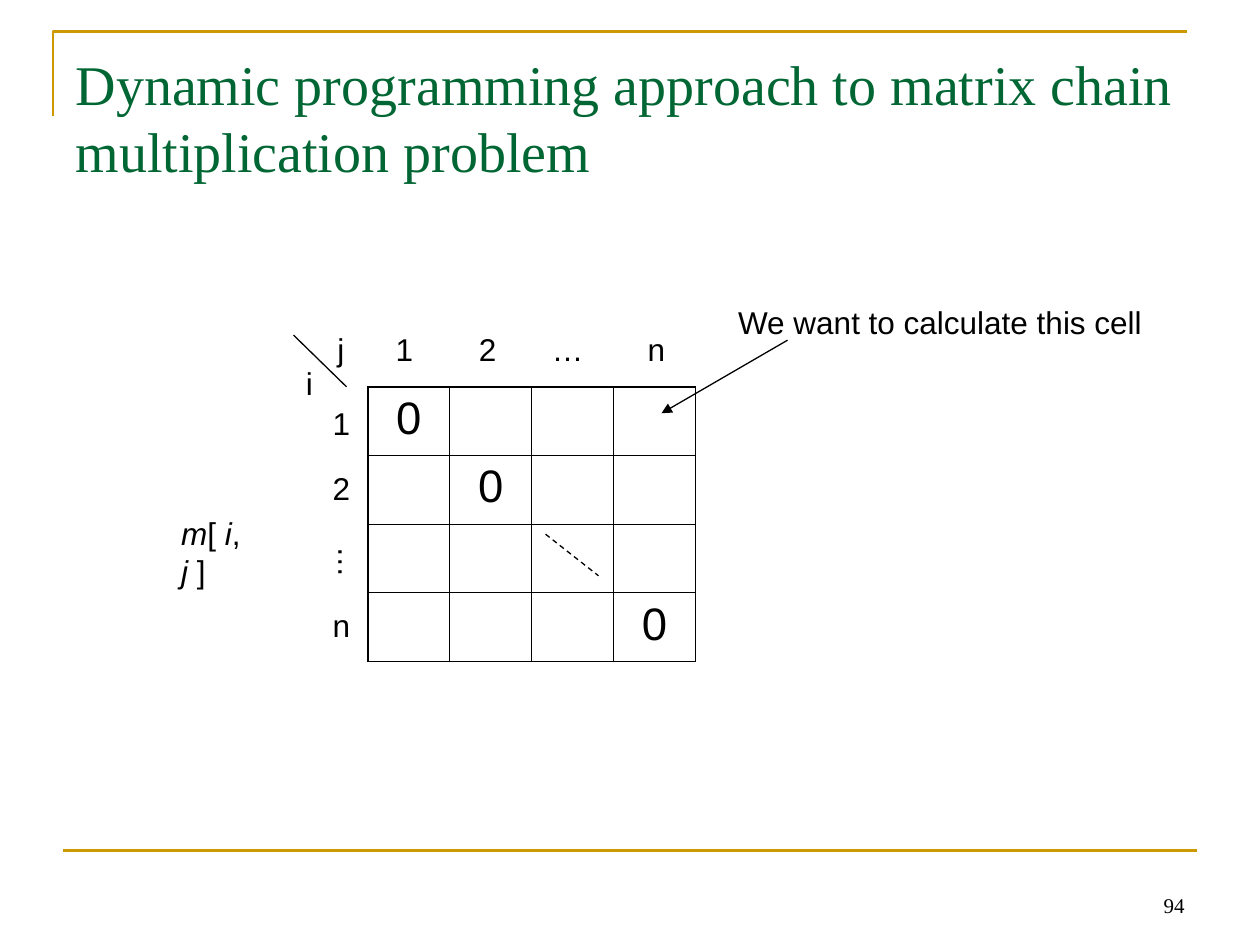
import pptx
import pptx.util
import pptx.dml.color
import pptx.enum.dml
import pptx.enum.shapes
import pptx.enum.text
from pptx.oxml import parse_xml
from pptx.oxml.ns import nsdecls

PX = 9144  # 100 px to the inch
COLOR = {"rule": "CC9900", "title": "006633", "ink": "000000"}
ALIGN = pptx.enum.text.PP_ALIGN
ANCHOR = pptx.enum.text.MSO_ANCHOR

TITLE = "Dynamic programming approach to matrix chain multiplication problem"
NUMBER = "94"
CELLS = [
    ["0", "", "", ""],
    ["", "0", "", ""],
    ["", "", "", ""],
    ["", "", "", "0"],
]
GRID = (292, 307, 260, 218)
# text, left, top, width, turn
LABELS = [
    ("i", 233, 284, 25, 0),
    ("j", 258, 257, 25, 0),
    ("1", 304, 257, 34, 0),
    ("2", 370, 257, 34, 0),
    ("…", 428, 257, 45, 0),
    ("n", 504, 257, 34, 0),
    ("1", 254, 316, 34, 0),
    ("2", 254, 367, 34, 0),
    ("…", 256, 426, 45, 90),
    ("n", 254, 476, 34, 0),
]
NOTE = "We want to calculate this cell"
ENTRY = [("m", True), ("[ ", False), ("i", True), (", ", False),
         ("j", True), (" ]", False)]


def px(*nums):
    return [round(n * PX) for n in nums]


def rgb(name):
    return pptx.dml.color.RGBColor.from_string(COLOR[name])


def write(frame, text, size=18, font="Arial", color="ink", align=ALIGN.LEFT):
    """Fill a frame with one paragraph: a string, or (string, italic) runs."""
    para = frame.paragraphs[0]
    para.alignment = align
    for part, slant in [(text, None)] if isinstance(text, str) else text:
        run = para.add_run()
        run.text = part
        run.font.size = pptx.util.Pt(size)
        run.font.name = font
        run.font.italic = slant
        run.font.color.rgb = rgb(color)


def label(text, left, top, width, height=40, turn=0, wrap=False,
          anchor=ANCHOR.TOP, **style):
    box = shapes.add_textbox(*px(left, top, width, height))
    box.rotation = turn
    frame = box.text_frame
    frame.word_wrap = wrap
    frame.vertical_anchor = anchor
    write(frame, text, **style)


def line(ends, color="ink", width=0.75, dash=False, arrow=False):
    item = shapes.add_connector(
        pptx.enum.shapes.MSO_CONNECTOR.STRAIGHT, *px(*ends))
    item.line.color.rgb = rgb(color)
    item.line.width = pptx.util.Pt(width)
    if dash:
        item.line.dash_style = pptx.enum.dml.MSO_LINE.DASH
    if arrow:
        item.line._get_or_add_ln().append(
            parse_xml(f'<a:tailEnd {nsdecls("a")} type="triangle"/>'))
    item._element.spPr.append(parse_xml(f'<a:effectLst {nsdecls("a")}/>'))


def edge(cell, side, width):
    cell._tc.get_or_add_tcPr().append(parse_xml(
        f'<a:ln{side} {nsdecls("a")} w="{pptx.util.Pt(width)}"><a:solidFill>'
        f'<a:srgbClr val="{COLOR["ink"]}"/></a:solidFill></a:ln{side}>'))


def corner():
    path = shapes.build_freeform(42, 92, scale=PX)
    path.add_line_segments([(42, 25), (942, 25)], close=False)
    shape = path.convert_to_shape()
    shape.shadow.inherit = False
    shape.fill.background()
    shape.line.color.rgb = rgb("rule")
    shape.line.width = pptx.util.Pt(1.5)


def grid():
    rows, cols = len(CELLS), len(CELLS[0])
    table = shapes.add_table(rows, cols, *px(*GRID)).table
    table.first_row = table.horz_banding = False
    for r, row in enumerate(CELLS):
        for c, text in enumerate(row):
            cell = table.cell(r, c)
            outer = {"L": c == 0, "R": c == cols - 1,
                     "T": r == 0, "B": r == rows - 1}
            for side, thick in outer.items():
                edge(cell, side, 1.08 if thick else 0.45)
            cell.fill.background()
            if text:
                write(cell.text_frame, text, size=26, align=ALIGN.CENTER)


deck = pptx.Presentation()
deck.slide_width, deck.slide_height = px(1000, 750)
slide = deck.slides.add_slide(deck.slide_layouts[5])
shapes = slide.shapes

title = shapes.title
title.left, title.top, title.width, title.height = px(50, 30, 900, 125)
title.text_frame.vertical_anchor = ANCHOR.MIDDLE
write(title.text_frame, TITLE, size=32, font="Times New Roman", color="title")

corner()
line((50, 675, 950, 675), color="rule", width=1.5)
label(NUMBER, 717, 683, 233, 50, wrap=True, anchor=ANCHOR.BOTTOM,
      size=12, font="Times New Roman", align=ALIGN.RIGHT)

grid()
line((433, 424, 475, 457), dash=True)
line((233, 266, 275, 307))
for text, left, top, width, turn in LABELS:
    label(text, left, top, width, turn=turn, align=ALIGN.CENTER)
label(NOTE, 576, 236, 341)
line((625, 270, 525, 328), arrow=True)
label(ENTRY, 134, 403, 93)

deck.save("out.pptx")
